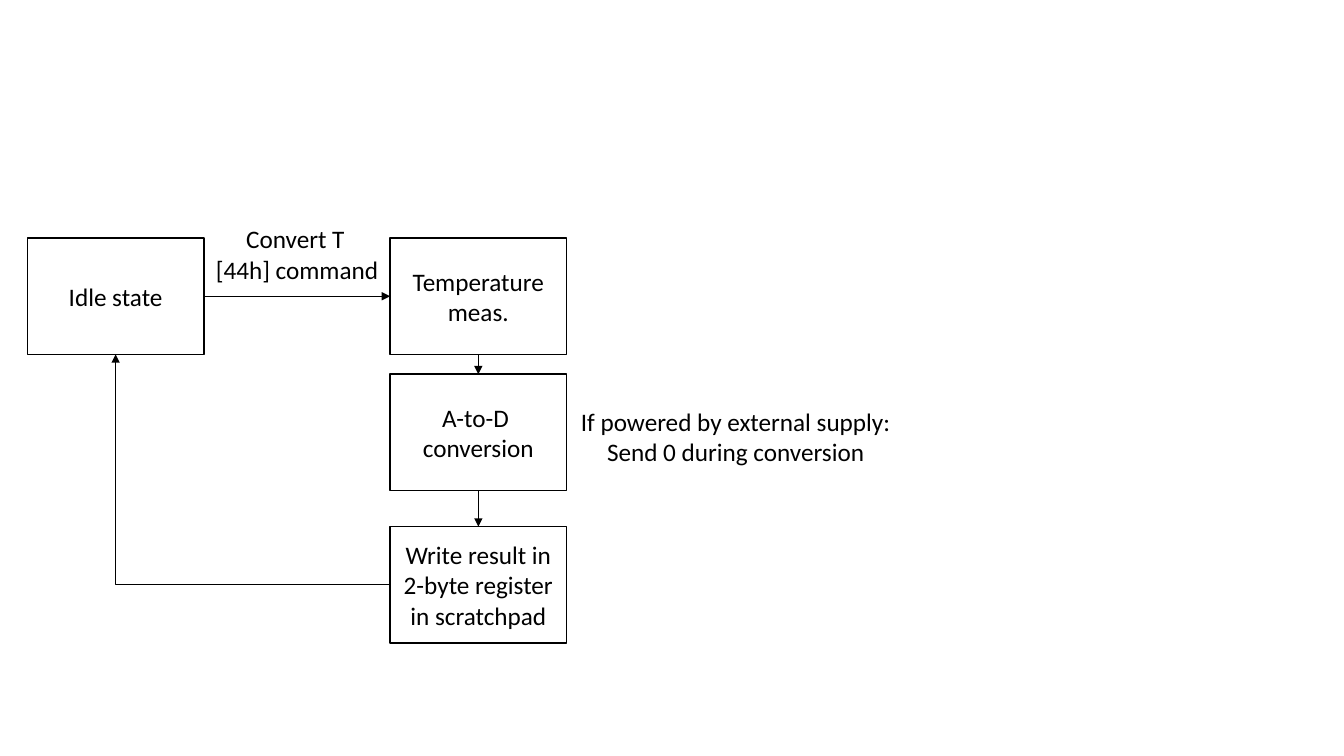
from dataclasses import dataclass

from lxml import etree
from pptx import Presentation
from pptx.dml.color import RGBColor
from pptx.enum.shapes import MSO_CONNECTOR, MSO_SHAPE
from pptx.enum.text import MSO_ANCHOR, MSO_AUTO_SIZE, PP_ALIGN
from pptx.oxml.ns import qn
from pptx.util import Cm, Pt

RECT = MSO_SHAPE.RECTANGLE
STRAIGHT, ELBOW = MSO_CONNECTOR.STRAIGHT, MSO_CONNECTOR.ELBOW
CENTER, LEFT = PP_ALIGN.CENTER, PP_ALIGN.LEFT
MIDDLE, TOP = MSO_ANCHOR.MIDDLE, MSO_ANCHOR.TOP
GROW = MSO_AUTO_SIZE.SHAPE_TO_FIT_TEXT
SITE_TOP, SITE_LEFT, SITE_BOTTOM, SITE_RIGHT = range(4)


@dataclass(frozen=True)
class Theme:
    ink: RGBColor = RGBColor(0, 0, 0)
    paper: RGBColor = RGBColor(255, 255, 255)
    font: str = "Calibri"
    size: Pt = Pt(18)
    border: Pt = Pt(1)
    arrow: Pt = Pt(0.5)


THEME = Theme()


def write(tf, lines, aligns, **frame_format):
    """Fill a text frame, one paragraph per line."""
    for name, value in frame_format.items():
        setattr(tf, name, value)
    for i, (line, align) in enumerate(zip(lines, aligns)):
        p = tf.paragraphs[0] if i == 0 else tf.add_paragraph()
        p.alignment = align
        r = p.add_run()
        r.text = line
        for name, value in {"name": THEME.font, "size": THEME.size}.items():
            setattr(r.font, name, value)
        r.font.color.rgb = THEME.ink


def add_state(slide, left, top, width, height, lines):
    sp = slide.shapes.add_shape(RECT, Cm(left), Cm(top), Cm(width), Cm(height))
    sp.shadow.inherit = False
    sp.fill.solid()
    sp.fill.fore_color.rgb = THEME.paper
    sp.line.color.rgb = THEME.ink
    sp.line.width = THEME.border
    write(sp.text_frame, lines, [CENTER] * len(lines),
          word_wrap=True, vertical_anchor=MIDDLE)
    return sp


def add_label(slide, left, top, width, height, lines, aligns, wrap):
    sp = slide.shapes.add_textbox(Cm(left), Cm(top), Cm(width), Cm(height))
    write(sp.text_frame, lines, aligns,
          word_wrap=wrap, vertical_anchor=TOP, auto_size=GROW)


def add_arrow(slide, kind, source, source_site, target, target_site):
    cx = slide.shapes.add_connector(kind, 0, 0, 0, 0)
    cx.begin_connect(source, source_site)
    cx.end_connect(target, target_site)
    cx.line.color.rgb = THEME.ink
    cx.line.width = THEME.arrow
    props = cx._element.spPr
    etree.SubElement(props.find(qn("a:ln")), qn("a:tailEnd"), type="triangle")
    etree.SubElement(props, qn("a:effectLst"))
    if kind == ELBOW:  # a single corner
        props.find(qn("a:prstGeom")).set("prst", "bentConnector2")


def conversion_flow(slide, left, top):
    """State diagram with its top left corner at (left, top), in cm."""
    width, height = 4.45, 2.93
    steps_left = left + 9.14

    # States
    idle = add_state(slide, left, top, width, height, ["Idle state"])
    steps = [
        add_state(slide, steps_left, top + drop, width, height, lines)
        for drop, lines in (
            (0, ["Temperature meas."]),
            (3.43, ["A-to-D ", "conversion"]),
            (7.27, ["Write result in 2-byte register in scratchpad"]),
        )
    ]

    # Transitions
    add_arrow(slide, STRAIGHT, idle, SITE_RIGHT, steps[0], SITE_LEFT)
    for upper, lower in zip(steps, steps[1:]):
        add_arrow(slide, STRAIGHT, upper, SITE_BOTTOM, lower, SITE_TOP)
    add_arrow(slide, ELBOW, steps[-1], SITE_LEFT, idle, SITE_BOTTOM)

    # Labels
    add_label(slide, left + 4.5, top - 0.49, 4.65, 1.8,
              ["Convert T ", "[44h] command"], [CENTER, LEFT], wrap=False)
    add_label(slide, steps_left + 4.47, top + 4.11, 8.48, 2.57,
              ["If powered by external supply:", "Send 0 during conversion"],
              [CENTER, CENTER], wrap=True)


prs = Presentation()
prs.slide_width, prs.slide_height = Cm(33.87), Cm(19.05)
slide = prs.slides.add_slide(prs.slide_layouts[6])
slide.background.fill.solid()
slide.background.fill.fore_color.rgb = THEME.paper
conversion_flow(slide, 0.69, 6.0)
prs.save("out.pptx")
